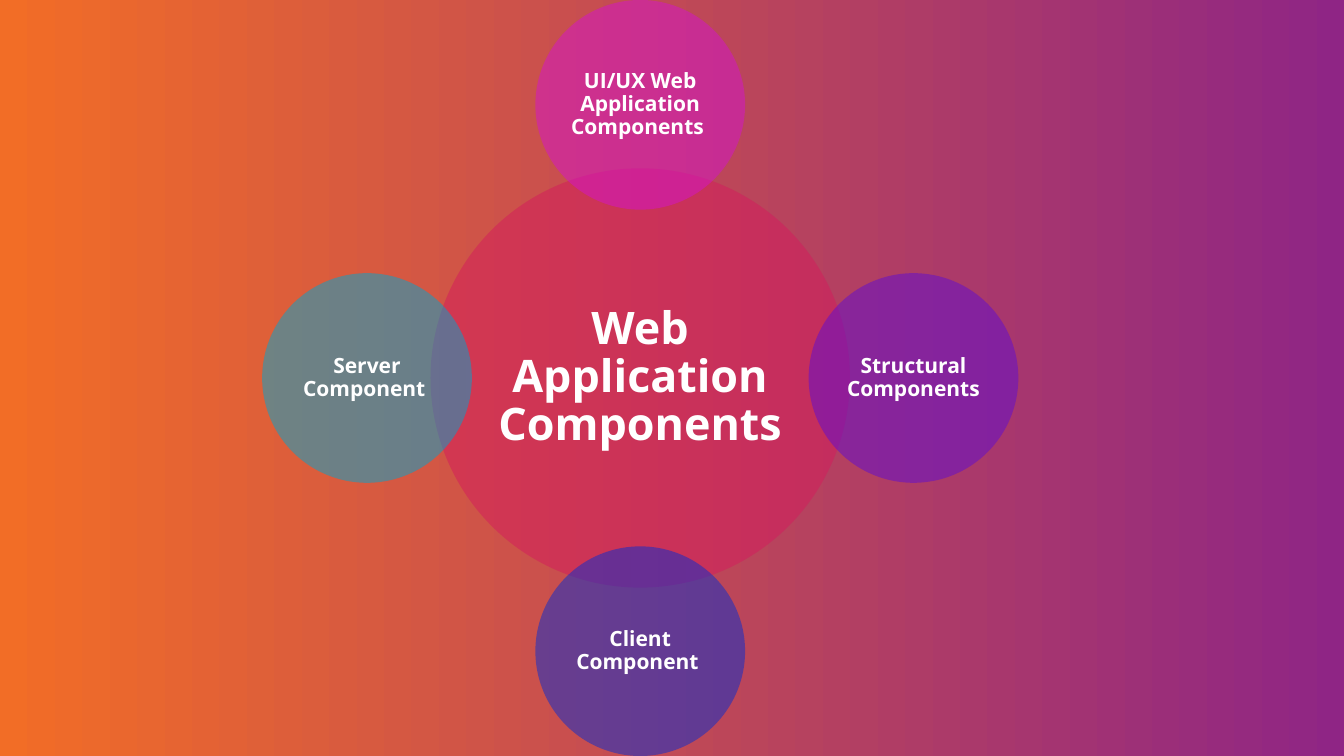
import math
from dataclasses import dataclass

import pptx
import pptx.dml.color
import pptx.enum.shapes
import pptx.enum.text
import pptx.oxml
import pptx.oxml.ns
import pptx.util

Inches = pptx.util.Inches
MID_X, MID_Y = 6.35, 3.75
ORBIT = 2.71


@dataclass
class Disc:
    text: str
    fill: str
    angle: float = 0
    orbit: float = ORBIT
    width: float = 2.08
    size: float = 15
    inset: float = 0.02


DISCS = [
    Disc("Web Application Components", "D41B5D", orbit=0, width=4.16, size=32, inset=0.04),
    Disc("UI/UX Web Application Components ", "D314CD", angle=-90),
    Disc("Structural Components", "5F0DD2", angle=0),
    Disc("Client Component ", "062DD0", angle=90),
    Disc("Server Component ", "00A6CE", angle=180),
]


def color(code: str) -> pptx.dml.color.RGBColor:
    return pptx.dml.color.RGBColor.from_string(code)


def paint(slide, stops: list[str]) -> None:
    fill = slide.background.fill
    fill.gradient()
    fill.gradient_angle = 180
    for place, (stop, code) in enumerate(zip(fill.gradient_stops, stops)):
        stop.color.rgb = color(code)
        stop.position = place


def fade(shape, percent: int) -> None:
    tone = shape.fill._xPr.find(".//" + pptx.oxml.ns.qn("a:srgbClr"))
    alpha = pptx.oxml.parse_xml(
        f'<a:alpha {pptx.oxml.ns.nsdecls("a")} val="{percent * 1000}"/>')
    tone.append(alpha)


def draw(slide, disc: Disc) -> None:
    turn = math.radians(disc.angle)
    left = MID_X + disc.orbit * math.cos(turn) - disc.width / 2
    top = MID_Y + disc.orbit * math.sin(turn) - disc.width / 2
    shape = slide.shapes.add_shape(
        pptx.enum.shapes.MSO_SHAPE.OVAL,
        Inches(left), Inches(top), Inches(disc.width), Inches(disc.width))
    shape.shadow.inherit = False
    shape.line.fill.background()
    shape.fill.solid()
    shape.fill.fore_color.rgb = color(disc.fill)
    fade(shape, 50)

    # Label inside the circle
    frame = shape.text_frame
    frame.text = disc.text
    frame.word_wrap = True
    frame.vertical_anchor = pptx.enum.text.MSO_ANCHOR.MIDDLE
    frame.margin_left = frame.margin_right = Inches(disc.inset)
    frame.margin_top = frame.margin_bottom = Inches(disc.inset)
    line = frame.paragraphs[0]
    line.alignment = pptx.enum.text.PP_ALIGN.CENTER
    line.line_spacing = 0.9
    font = line.runs[0].font
    font.name = "Open Sans"
    font.size = pptx.util.Pt(disc.size)
    font.bold = True
    font.color.rgb = color("FFFFFF")


def main() -> None:
    deck = pptx.Presentation()
    deck.slide_width, deck.slide_height = Inches(13.33), Inches(7.5)
    slide = deck.slides.add_slide(deck.slide_layouts[6])

    # Background gradient
    paint(slide, ["8F2585", "F26D26"])

    # Central circle and its four satellites
    for disc in DISCS:
        draw(slide, disc)

    deck.save("out.pptx")


if __name__ == "__main__":
    main()
